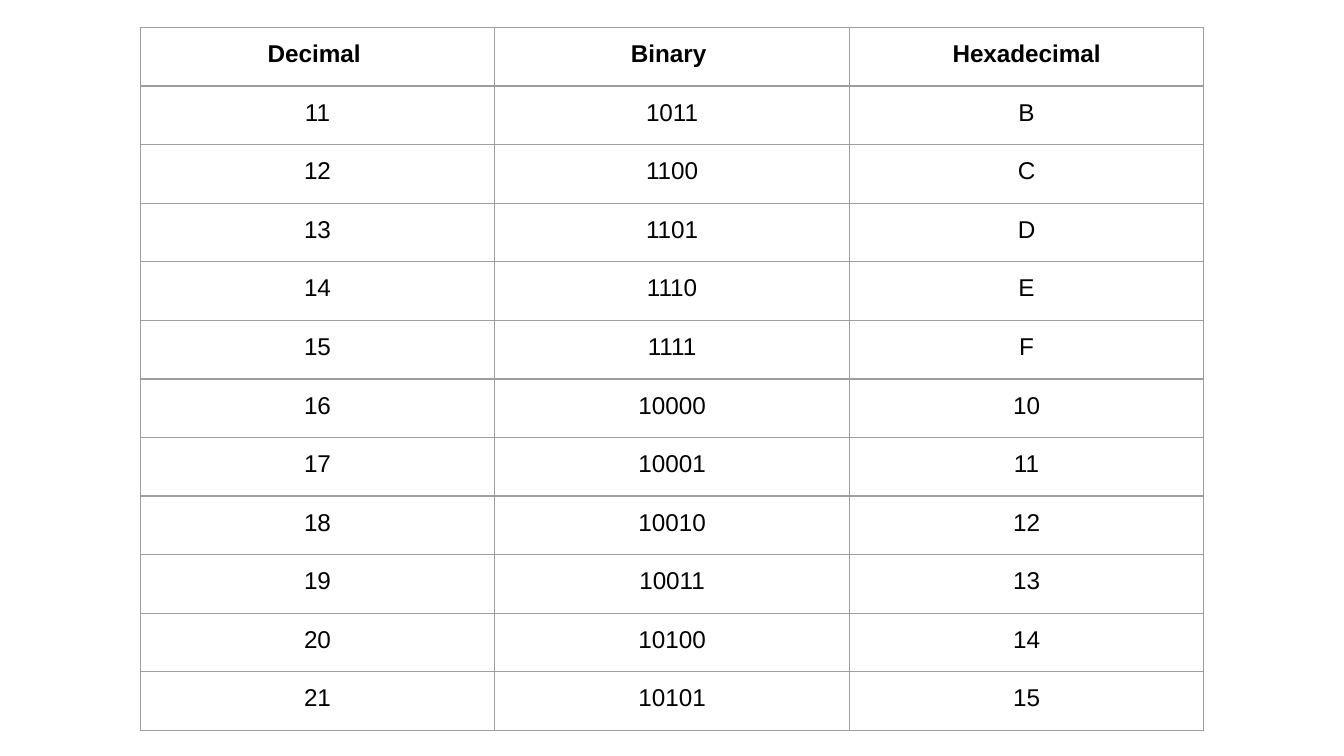
from lxml.etree import SubElement
from pptx import Presentation
from pptx.dml.color import RGBColor
from pptx.enum.text import MSO_ANCHOR, PP_ALIGN
from pptx.oxml.ns import qn
from pptx.util import Cm, Pt


def color(hex_value):
    return RGBColor.from_string(hex_value)


def write_text(text_frame, text, *, font, size, text_color, bold=False,
               align=PP_ALIGN.CENTER):
    paragraph = text_frame.paragraphs[0]
    paragraph.alignment = align
    run = paragraph.add_run()
    run.text = text
    run.font.name = font
    run.font.size = Pt(size)
    run.font.bold = bold
    run.font.color.rgb = color(text_color)


class SlideBuilder:
    font = "Arial"
    text_size = 13
    text_color = "000000"
    cell_fill = "FFFFFF"
    border_color = "9E9E9E"
    border_width = 0.75
    cell_margin = 0.25

    def __init__(self, slide):
        self.slide = slide

    def add_borders(self, cell):
        properties = cell._tc.get_or_add_tcPr()
        for side in ("lnL", "lnR", "lnT", "lnB"):
            line = SubElement(properties, qn(f"a:{side}"), w=str(Pt(self.border_width)))
            fill = SubElement(line, qn("a:solidFill"))
            SubElement(fill, qn("a:srgbClr"), val=self.border_color)

    def format_cell(self, cell, text, bold):
        margin = Cm(self.cell_margin)
        cell.margin_left = cell.margin_right = margin
        cell.margin_top = cell.margin_bottom = margin
        cell.vertical_anchor = MSO_ANCHOR.TOP
        self.add_borders(cell)
        cell.fill.solid()
        cell.fill.fore_color.rgb = color(self.cell_fill)
        write_text(cell.text_frame, text, font=self.font, size=self.text_size,
                   text_color=self.text_color, bold=bold)

    def add_table(self, rows, left, top, width, height):
        shape = self.slide.shapes.add_table(
            len(rows), len(rows[0]), Cm(left), Cm(top), Cm(width), Cm(height))
        table = shape.table
        table.first_row = table.horz_banding = False
        for row_index, values in enumerate(rows):
            for column_index, text in enumerate(values):
                self.format_cell(table.cell(row_index, column_index), text,
                                 bold=row_index == 0)


def main():
    presentation = Presentation()
    presentation.slide_width = Cm(25.4)
    presentation.slide_height = Cm(14.29)
    slide = presentation.slides.add_slide(presentation.slide_layouts[6])
    builder = SlideBuilder(slide)

    # Number table: each value in base 10, 2 and 16
    header = ("Decimal ", "Binary ", "Hexadecimal")
    numbers = [(f"{n}", f"{n:b}", f"{n:X}") for n in range(11, 22)]
    builder.add_table([header, *numbers], left=2.65, top=0.52, width=20.1, height=13.29)

    presentation.save("out.pptx")


if __name__ == "__main__":
    main()
